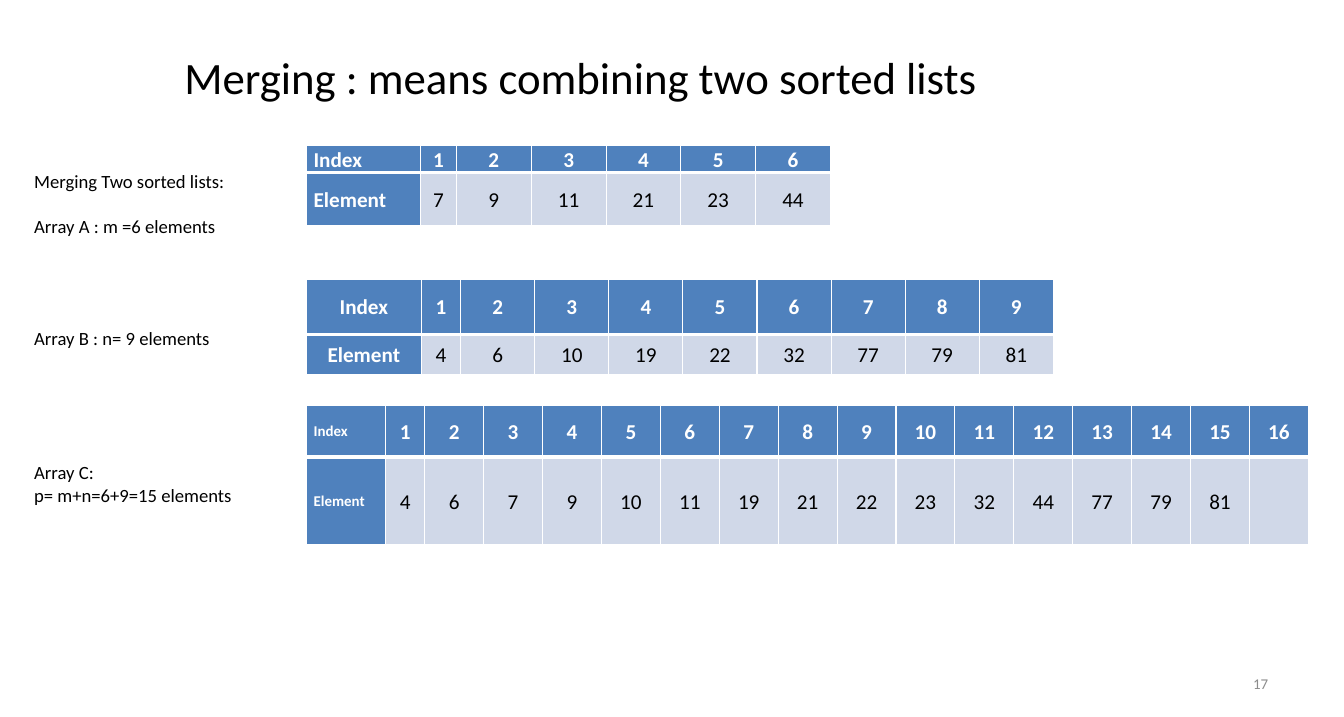
from lxml import etree
from pptx import Presentation
from pptx.dml.color import RGBColor
from pptx.enum.text import MSO_ANCHOR, PP_ALIGN
from pptx.oxml.ns import qn
from pptx.util import Cm, Pt

LEFT, MID, RIGHT = PP_ALIGN.LEFT, PP_ALIGN.CENTER, PP_ALIGN.RIGHT
CENTRE = MSO_ANCHOR.MIDDLE
FONT = "Calibri"
BLUE, PALE, WHITE, BLACK, GREY = "4F81BD", "D0D8E8", "FFFFFF", "000000", "8C8C8C"


def hue(code):
    return RGBColor.from_string(code)


def write(par, text, size, code, align=LEFT, bold=False):
    par.alignment = align
    run = par.add_run()
    run.text = text
    run.font.name = FONT
    run.font.size = Pt(size)
    run.font.bold = bold
    run.font.color.rgb = hue(code)


deck = Presentation()
deck.slide_width, deck.slide_height = Cm(38.1), Cm(20.32)
slide = deck.slides.add_slide(deck.slide_layouts[6])

# Title and page number
for text, box, size, code, align in [
    ("Merging : means combining two sorted lists",
     (2.44, 0.48, 28.04, 3.38), 36, BLACK, MID),
    ("17", (27.31, 18.82, 8.89, 1.09), 12, GREY, RIGHT),
]:
    frame = slide.shapes.add_textbox(*map(Cm, box)).text_frame
    frame.word_wrap = True
    frame.vertical_anchor = CENTRE
    write(frame.paragraphs[0], text, size, code, align)

# Arrays: top, label width, first width, other width, row heights,
# label size, label alignment, elements
arrays = [
    (4.11, 3.23, 1.02, 2.12, (0.76, 1.52), 17, LEFT,
     [7, 9, 11, 21, 23, 44]),
    (7.92, 3.25, 1.12, 2.1, (1.55, 1.14), 17, MID,
     [4, 6, 10, 19, 22, 32, 77, 79, 81]),
    (11.48, 2.25, 1.1, 1.67, (1.47, 2.49), 12, LEFT,
     [4, 6, 7, 9, 10, 11, 19, 21, 22, 23, 32, 44, 77, 79, 81, ""]),
]
for top, label, first, step, highs, size, align, items in arrays:
    count = len(items)
    widths = [label, first] + [step] * (count - 1)
    rows = [["Index", *range(1, count + 1)], ["Element", *items]]
    grid = slide.shapes.add_table(
        2, count + 1, Cm(8.69), Cm(top), Cm(sum(widths)), Cm(sum(highs))).table
    grid.first_row = grid.horz_banding = False
    for col, width in zip(grid.columns, widths):
        col.width = Cm(width)
    for r, row in enumerate(rows):
        grid.rows[r].height = Cm(highs[r])
        for c, value in enumerate(row):
            cell = grid.cell(r, c)
            cell.margin_left = cell.margin_right = Cm(0.2)
            cell.margin_top = cell.margin_bottom = 0
            cell.vertical_anchor = CENTRE

            # White borders, thick between the two rows
            props = cell._tc.get_or_add_tcPr()
            thick = "B" if r == 0 else "T"
            for side in "LRTB":
                line = etree.SubElement(props, qn("a:ln" + side))
                line.set("w", str(Pt(3 if side == thick else 1)))
                paint = etree.SubElement(line, qn("a:solidFill"))
                etree.SubElement(paint, qn("a:srgbClr")).set("val", WHITE)

            head = r == 0 or c == 0
            cell.fill.solid()
            cell.fill.fore_color.rgb = hue(BLUE if head else PALE)
            if value != "":
                par = cell.text_frame.paragraphs[0]
                par.line_spacing = 1.07
                write(par, str(value), 17 if c else size,
                      WHITE if head else BLACK, MID if c else align, head)

# Captions, with the number of empty lines above each
notes = [
    ("Merging Two sorted lists:", 0),
    ("Array A : m =6 elements", 1),
    ("Array B : n= 9 elements", 4),
    ("Array C:", 5),
    ("p= m+n=6+9=15 elements", 0),
]
frame = slide.shapes.add_textbox(Cm(0.69), Cm(4.67), Cm(6.22), Cm(9.91)).text_frame
frame.word_wrap = False
frame.margin_left = frame.margin_right = Cm(0.28)
frame.margin_top = frame.margin_bottom = Cm(0.15)
for n, (text, gap) in enumerate(notes):
    par = frame.add_paragraph() if n else frame.paragraphs[0]
    if gap:
        par.space_before = Pt(18 * gap)
    write(par, text, 15, BLACK)

deck.save("out.pptx")
